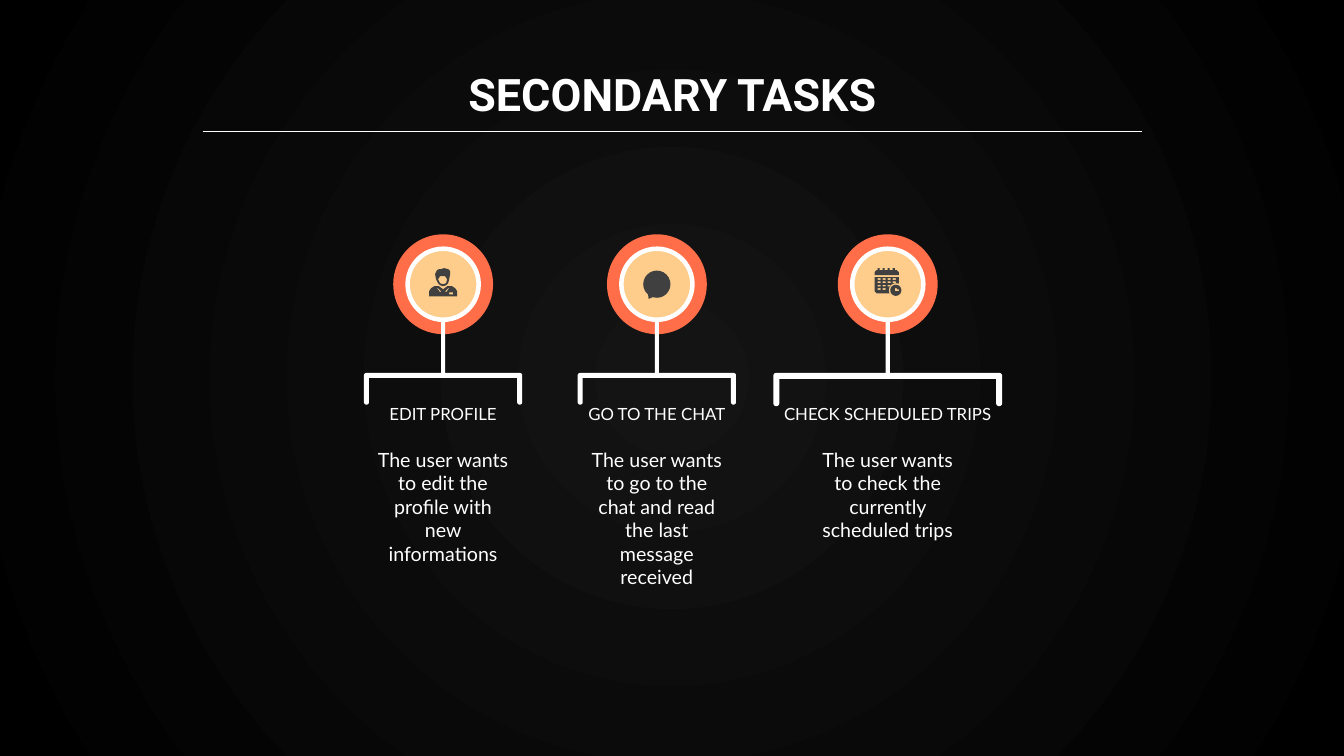
import math

import pptx
import pptx.dml.color
import pptx.enum.shapes
import pptx.enum.text
import pptx.oxml
import pptx.util
from pptx.util import Inches

RGB = pptx.dml.color.RGBColor
WHITE = RGB(0xFF, 0xFF, 0xFF)
BLACK = RGB(0, 0, 0)
SOOT = RGB(0x14, 0x14, 0x14)
CORAL = RGB(0xFF, 0x6D, 0x49)
CREAM = RGB(0xFE, 0xCD, 0x8C)
GREY = RGB(0x40, 0x40, 0x40)

SHAPE = pptx.enum.shapes.MSO_SHAPE
ANCHOR = pptx.enum.text.MSO_ANCHOR
FIT = pptx.enum.text.MSO_AUTO_SIZE
ALIGN = pptx.enum.text.PP_ALIGN

MID = 2.82  # height of the badge centres
LABEL = {"name": "Lato", "size": pptx.util.Pt(12)}
BODY = {"name": "Lato", "size": pptx.util.Pt(14)}
TITLE = {"name": "Roboto", "size": pptx.util.Pt(32), "bold": True}

# Left edge, width, stroke of each bracket, then its words
TASKS = [
    (3.61, 1.57, 0.05, "EDIT PROFILE",
     "The user wants to edit the profile with new informations"),
    (5.73, 1.57, 0.05, "GO TO THE CHAT",
     "The user wants to go to the chat and read the last message received"),
    (7.67, 2.27, 0.06, "CHECK SCHEDULED TRIPS",
     "The user wants to check the currently scheduled trips"),
]


def paint(shape, color):
    shape.shadow.inherit = False
    shape.fill.solid()
    shape.fill.fore_color.rgb = color
    shape.line.fill.background()
    return shape


def add_form(slide, kind, box, color):
    return paint(slide.shapes.add_shape(kind, *map(Inches, box)), color)


def add_disc(slide, x, y, size, color, kind=SHAPE.OVAL):
    box = (x - size / 2, y - size / 2, size, size)
    return add_form(slide, kind, box, color)


def add_path(slide, loops, color):
    """Fill closed loops of points; inner loops become holes."""
    loops = [[(Inches(x), Inches(y)) for x, y in loop] for loop in loops]
    pen = slide.shapes.build_freeform(*loops[0][0], scale=1.0)
    for loop in loops:
        if loop is not loops[0]:
            pen.move_to(*loop[0])
        pen.add_line_segments(loop[1:], close=True)
    return paint(pen.convert_to_shape(), color)


def add_text(slide, box, words, style, grow=True):
    frame = slide.shapes.add_textbox(*map(Inches, box)).text_frame
    format = {"word_wrap": True,
              "vertical_anchor": ANCHOR.BOTTOM if grow else ANCHOR.TOP,
              "auto_size": FIT.SHAPE_TO_FIT_TEXT if grow else FIT.NONE}
    for side in ("left", "right", "top", "bottom"):
        format["margin_" + side] = Inches(0.1)
    for key, value in format.items():
        setattr(frame, key, value)
    para = frame.paragraphs[0]
    para.alignment = ALIGN.CENTER
    run = para.add_run()
    run.text = words
    for key, value in style.items():
        setattr(run.font, key, value)
    run.font.color.rgb = WHITE


def arc(x, y, size, start, end, steps=12):
    turns = [math.radians(start + (end - start) * i / steps)
             for i in range(steps + 1)]
    return [(x + size * math.cos(t), y + size * math.sin(t)) for t in turns]


def rect(x, y, wide, high):
    return [(x, y), (x + wide, y), (x + wide, y + high), (x, y + high)]


def set_back(slide):
    fill = slide.background.fill
    fill.gradient()
    for stop, color in zip(fill.gradient_stops, (SOOT, BLACK)):
        stop.color.rgb = color
    old = slide.element.xpath(".//p:bg//a:lin")[0]
    old.getparent().replace(old, pptx.oxml.parse_xml(
        '<a:path xmlns:a="http://schemas.openxmlformats.org/drawingml/2006/main"'
        ' path="circle"><a:fillToRect l="50000" t="50000" r="50000"'
        ' b="50000"/></a:path>'))


def add_rule(slide):
    ends = map(Inches, (2.01, 1.3, 11.33, 1.3))
    rule = slide.shapes.add_connector(
        pptx.enum.shapes.MSO_CONNECTOR.STRAIGHT, *ends)
    rule.line.color.rgb = WHITE
    rule.line.width = pptx.util.Pt(0.75)
    rule._element.spPr.append(pptx.oxml.parse_xml(
        '<a:effectLst xmlns:a='
        '"http://schemas.openxmlformats.org/drawingml/2006/main"/>'))


def add_frame(slide, left, wide, thick):
    """Bracket that opens downwards, with round corners and leg ends."""
    top, right, end = 3.7, left + wide, 3.94 + thick
    cap = thick / 2
    loop = arc(left + cap, top + cap, cap, 180, 270)
    loop += arc(right - cap, top + cap, cap, 270, 360)
    loop += arc(right - cap, end, cap, 0, 180)
    loop += [(right - thick, top + thick), (left + thick, top + thick)]
    loop += arc(left + cap, end, cap, 0, 180)
    add_path(slide, [loop], WHITE)


def add_badge(slide, x):
    add_disc(slide, x, MID, 0.99, CORAL)
    post = add_form(slide, SHAPE.ROUNDED_RECTANGLE,
                    (x - 0.02, 2.74, 0.04, 1), WHITE)
    post.adjustments[0] = 0.5
    add_disc(slide, x, MID, 0.7, CREAM)
    ring = add_disc(slide, x, MID, 0.75, WHITE, SHAPE.DONUT)
    ring.adjustments[0] = 0.06


def add_person(slide, x):
    hair = [(-0.08, 2.72), (-0.06, 2.68), (-0.04, 2.67), (-0.02, 2.67),
            (0.01, 2.66), (0.05, 2.67), (0.07, 2.69), (0.07, 2.72),
            (0.06, 2.77), (0.05, 2.81), (0.03, 2.83), (0, 2.84),
            (-0.03, 2.83), (-0.05, 2.81), (-0.07, 2.77)]
    face = [(-0.03, 2.74), (0.02, 2.74), (0.04, 2.77), (0.03, 2.81),
            (0, 2.82), (-0.03, 2.81), (-0.05, 2.77)]
    torso = [(-0.14, 2.94), (-0.14, 2.89), (-0.12, 2.86), (-0.09, 2.84),
             (-0.04, 2.84), (0, 2.87), (0.04, 2.84), (0.09, 2.84),
             (0.12, 2.86), (0.14, 2.89), (0.14, 2.94)]
    flap = [(-0.05, 2.86), (-0.02, 2.89), (-0.03, 2.9), (-0.06, 2.86)]
    twin = [(-dx, y) for dx, y in flap]
    badge = rect(0.06, 2.9, 0.04, 0.02)
    for loops in ([hair, face], [torso, flap, twin, badge]):
        add_path(slide, [[(x + dx, y) for dx, y in loop] for loop in loops],
                 GREY)


def add_chat(slide, x):
    bubble = add_disc(slide, x, MID, 0.27, GREY, SHAPE.OVAL_CALLOUT)
    bubble.adjustments[0] = -0.3
    bubble.adjustments[1] = 0.54


def add_dates(slide, x):
    left, right = x - 0.13, x + 0.11
    # Page with day cells, cut away around the clock
    hub = (x + 0.08, 2.88)
    page = [(left, 2.75), (right, 2.75), (right, 2.81)]
    page += arc(*hub, 0.07, -70, -205)
    page += [(x + 0.02, 2.91), (left + 0.02, 2.91), (left, 2.89)]
    cells = [rect(left + 0.03 + 0.05 * col, 2.76 + 0.033 * row, 0.03, 0.017)
             for row, count in enumerate((4, 4, 3, 2)) for col in range(count)]
    add_path(slide, [page] + cells, GREY)
    # Header with four binder tabs
    head = [(left, 2.73), (left, 2.7), (left + 0.02, 2.68)]
    for tab in range(4):
        pin = left + 0.03 + 0.05 * tab
        head += [(pin, 2.68), (pin, 2.66), (pin + 0.02, 2.66),
                 (pin + 0.02, 2.68)]
    head += [(right - 0.02, 2.68), (right, 2.7), (right, 2.73)]
    add_path(slide, [head], GREY)
    # Clock
    dx, y = hub
    hands = [(dx - 0.01, y - 0.02), (dx + 0.01, y - 0.02), (dx + 0.01, y - 0.01),
             (dx + 0.03, y - 0.01), (dx + 0.03, y + 0.01), (dx - 0.01, y + 0.01)]
    add_path(slide, [arc(*hub, 0.055, 0, 360, 32), hands], GREY)


def main():
    deck = pptx.Presentation()
    deck.slide_width, deck.slide_height = Inches(13.33), Inches(7.5)
    slide = deck.slides.add_slide(deck.slide_layouts[6])
    set_back(slide)

    # Heading
    add_text(slide, (1.74, 0.56, 9.86, 0.74), "SECONDARY TASKS", TITLE)
    add_rule(slide)

    # Tasks
    icons = (add_person, add_chat, add_dates)
    for (left, wide, thick, label, body), icon in zip(TASKS, icons):
        x = left + wide / 2
        add_frame(slide, left, wide, thick)
        add_badge(slide, x)
        icon(slide, x)
        add_text(slide, (x - 1.135, 3.91, 2.27, 0.4), label, LABEL)
        add_text(slide, (x - 0.785, 4.34, 1.57, 2.17), body, BODY, False)

    deck.save("out.pptx")


main()
